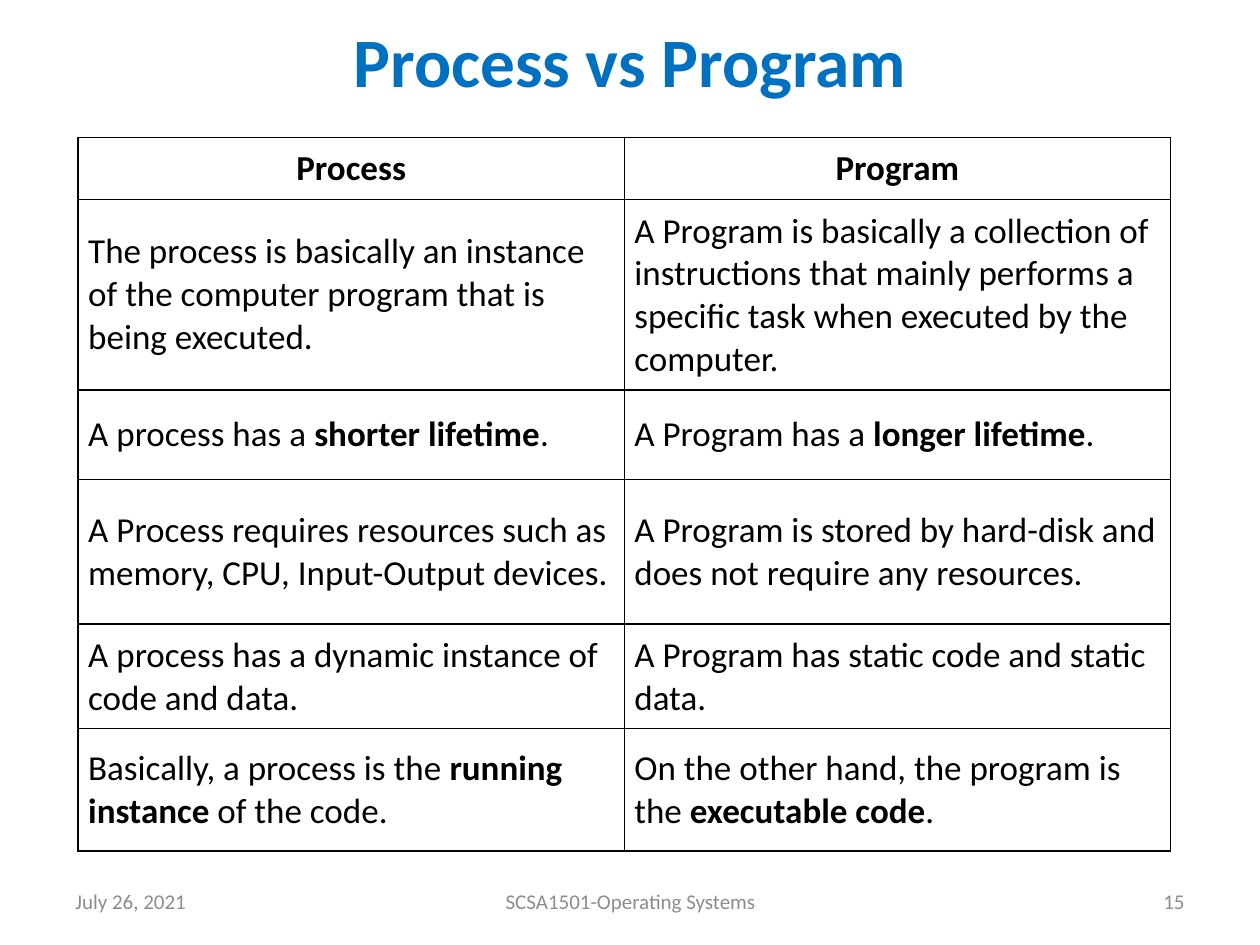
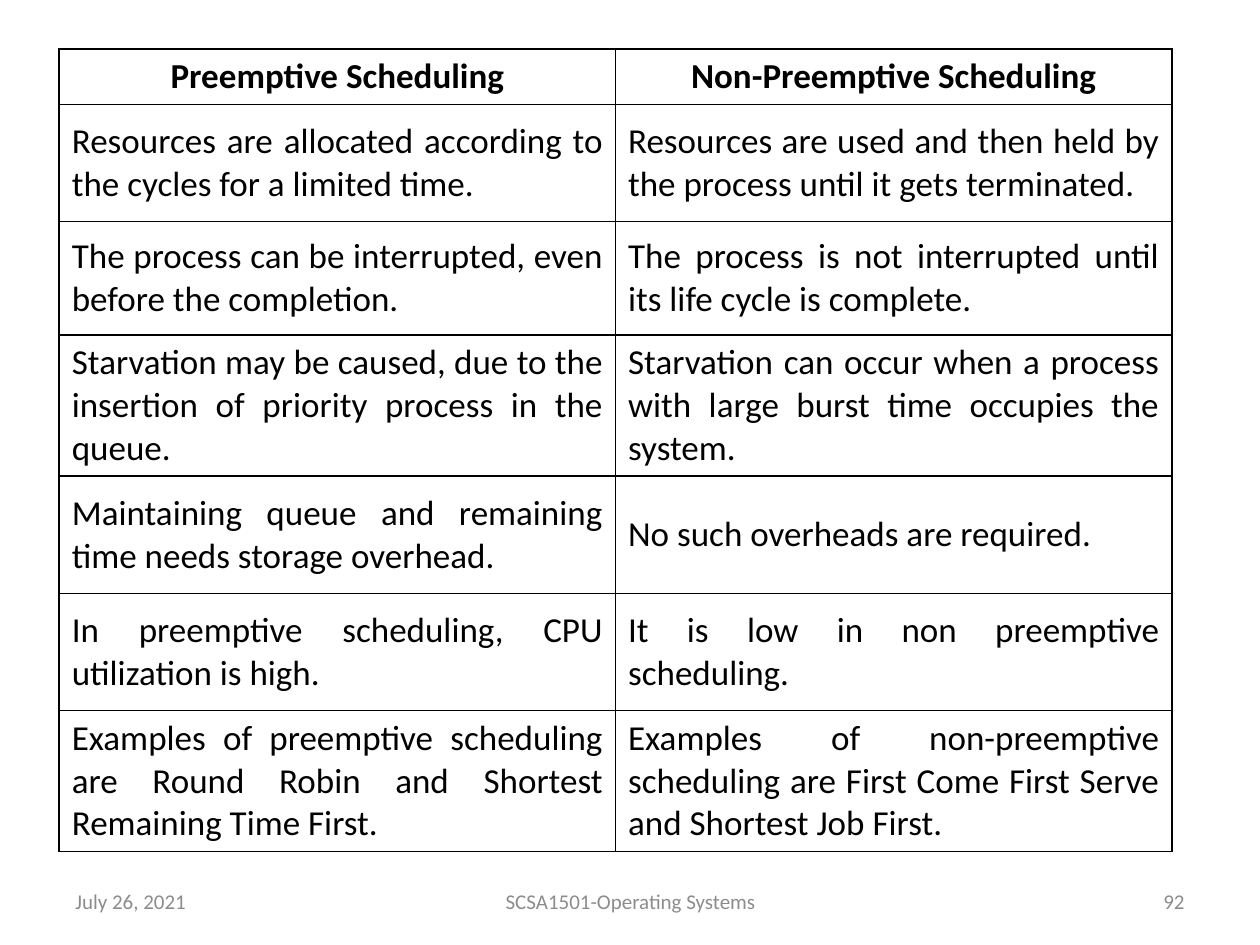
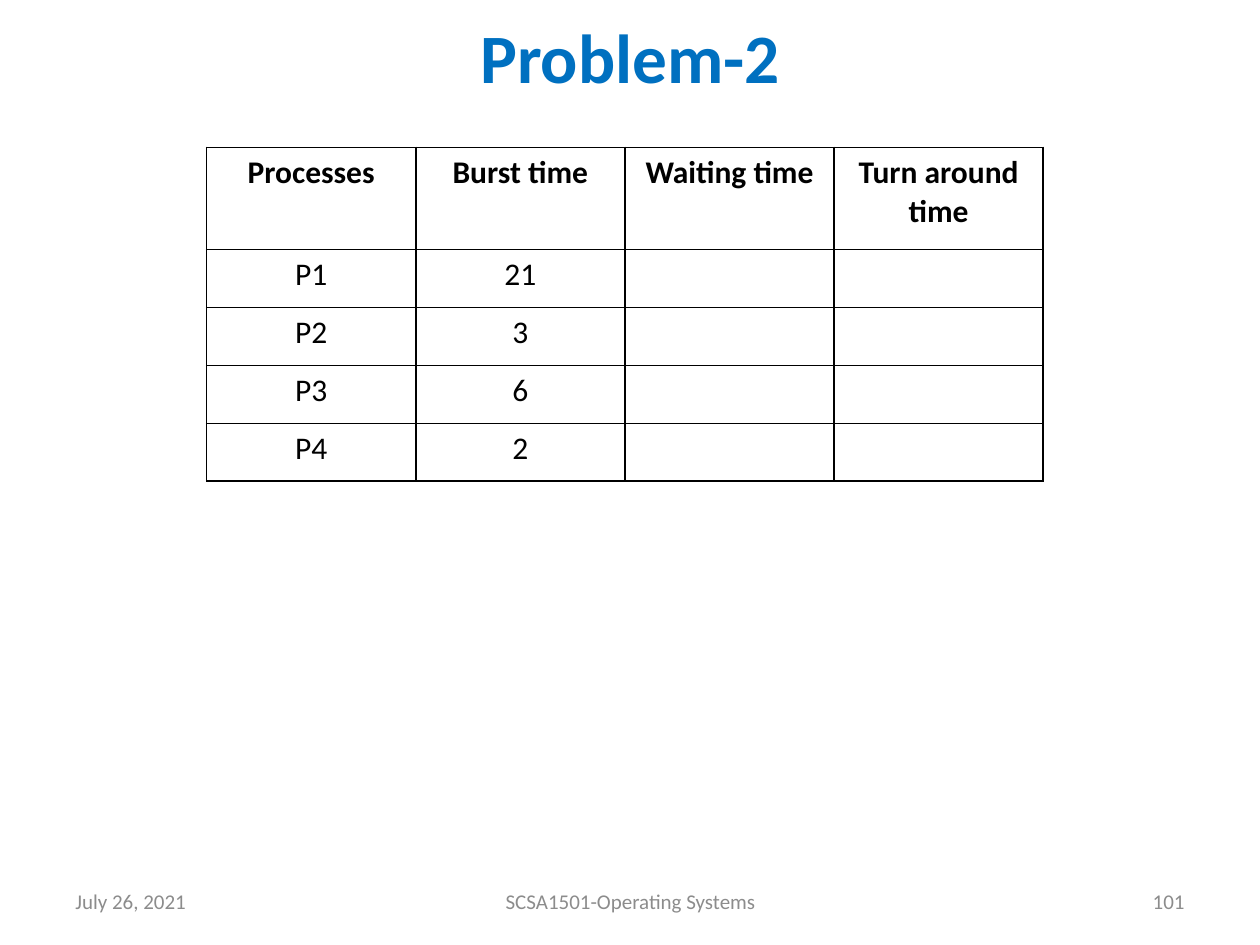
from pptx import Presentation
from pptx.dml.color import RGBColor
from pptx.enum.text import MSO_ANCHOR, MSO_AUTO_SIZE, PP_ALIGN
from pptx.oxml import parse_xml
from pptx.oxml.ns import nsdecls
from pptx.util import Inches, Pt

BLUE = RGBColor(0x00, 0x70, 0xC0)
BLACK = RGBColor(0x00, 0x00, 0x00)
GRAY = RGBColor(0x8C, 0x8C, 0x8C)
FONT = "Calibri"
LEFT, CENTER, RIGHT = PP_ALIGN.LEFT, PP_ALIGN.CENTER, PP_ALIGN.RIGHT
JUSTIFY = PP_ALIGN.JUSTIFY
TOP, MIDDLE = MSO_ANCHOR.TOP, MSO_ANCHOR.MIDDLE
FIXED = MSO_AUTO_SIZE.NONE
TITLED, BLANK = 5, 6
DATE, COURSE = "July 26, 2021", "SCSA1501-Operating Systems"

# Table text: asterisks enclose bold words
DUTIES = [
    ["Process", "Program"],
    ["The process is basically an instance of the computer program that is being executed.",
     "A Program is basically a collection of instructions that mainly performs a "
     "specific task when executed by the computer."],
    ["A process has a *shorter lifetime*.", "A Program has a *longer lifetime*."],
    ["A Process requires resources such as memory, CPU, Input-Output devices.",
     "A Program is stored by hard-disk and does not require any resources."],
    ["A process has a dynamic instance of code and data.",
     "A Program has static code and static data."],
    ["Basically, a process is the *running instance* of the code.",
     "On the other hand, the program is the* executable code*."],
]
MODES = [
    ["Preemptive Scheduling", "Non-Preemptive Scheduling"],
    ["Resources are allocated according to the cycles for a limited time.",
     "Resources are used and then held by the process until it gets terminated."],
    ["The process can be interrupted, even before the completion.",
     "The process is not interrupted until its life cycle is complete."],
    ["Starvation may be caused, due to the insertion of priority process in the queue.",
     "Starvation can occur when a process with large burst time occupies the system."],
    ["Maintaining queue and remaining time needs storage overhead.",
     "No such overheads are required."],
    ["In preemptive scheduling, CPU utilization is high.",
     "It is low in non preemptive scheduling."],
    ["Examples of preemptive scheduling are Round Robin and Shortest Remaining Time First.",
     "Examples of non-preemptive scheduling are First Come First Serve "
     "and Shortest Job First."],
]
BURSTS = [
    ["Processes", "Burst time", "Waiting time", "Turn around time"],
    ["P1", "21", "", ""],
    ["P2", "3", "", ""],
    ["P3", "6", "", ""],
    ["P4", "2", "", ""],
]


class Deck:
    def __init__(self):
        self.prs = Presentation()
        self.prs.slide_width, self.prs.slide_height = Inches(10), Inches(7.5)
        self.slide = None

    def start(self, layout, number):
        """Add a slide with its footer."""
        self.slide = self.prs.slides.add_slide(self.prs.slide_layouts[layout])
        self.label(DATE, 0.5, 2.33, LEFT)
        self.label(COURSE, 3.42, 3.17, CENTER)
        self.label(str(number), 7.17, 2.33, RIGHT)

    def style(self, para, size, color, align, bold=None):
        para.alignment = align
        font = para.font
        font.name, font.size, font.bold = FONT, Pt(size), bold
        font.color.rgb = color

    def label(self, text, left, width, align):
        box = self.slide.shapes.add_textbox(
            Inches(left), Inches(6.95), Inches(width), Inches(0.4))
        frame = box.text_frame
        frame.word_wrap, frame.vertical_anchor = True, MIDDLE
        frame.text = text
        self.style(frame.paragraphs[0], 12, GRAY, align)

    def title(self, text, top, height):
        box = self.slide.shapes.title
        box.left, box.top = Inches(0.5), Inches(top)
        box.width, box.height = Inches(9), Inches(height)
        frame = box.text_frame
        frame.text = text
        frame.auto_size, frame.vertical_anchor = FIXED, MIDDLE
        self.style(frame.paragraphs[0], 39.6, BLUE, CENTER, True)

    def table(self, data, left, top, width, heights, align, size=20,
              anchor=MIDDLE, inset=None):
        """Draw a grid of equal columns with a bold, centred head row."""
        table = self.slide.shapes.add_table(
            len(data), len(data[0]), Inches(left), Inches(top),
            Inches(width), Inches(sum(heights))).table
        table.first_row = table.horz_banding = False
        for row, height, texts in zip(table.rows, heights, data):
            row.height = Inches(height)
            head = texts is data[0]
            for cell, text in zip(row.cells, texts):
                self.border(cell)
                cell.fill.background()
                cell.vertical_anchor = anchor
                if inset:
                    cell.margin_left = cell.margin_right = Inches(inset)
                    cell.margin_top = cell.margin_bottom = Inches(inset)
                para = cell.text_frame.paragraphs[0]
                self.style(para, size, BLACK, CENTER if head else align, head)
                for i, part in enumerate(text.split("*")):
                    if part:
                        run = para.add_run()
                        run.text = part
                        if i % 2:
                            run.font.bold = True

    def border(self, cell):
        props = cell._tc.get_or_add_tcPr()
        for side in "LRTB":
            props.append(parse_xml(
                f'<a:ln{side} {nsdecls("a")} w="{Pt(1)}"><a:solidFill>'
                f'<a:srgbClr val="{BLACK}"/></a:solidFill></a:ln{side}>'))


def main():
    deck = Deck()

    # Process and program compared
    deck.start(TITLED, 15)
    deck.title("Process vs Program", 0.08, 0.79)
    deck.table(DUTIES, 0.62, 1.09, 8.67, [0.49, 1.51, 0.71, 1.15, 0.83, 0.97],
               LEFT, inset=0.08)

    # Scheduling modes compared
    deck.start(BLANK, 92)
    deck.table(MODES, 0.47, 0.39, 8.83, [0.44, 0.93, 0.9, 1.12, 0.93, 0.93, 1.12],
               JUSTIFY)

    # Burst time exercise
    deck.start(TITLED, 101)
    deck.title("Problem-2", 0.16, 0.56)
    deck.table(BURSTS, 1.64, 1.17, 6.64, [0.81] + [0.46] * 4, CENTER,
               size=18, anchor=TOP)

    deck.prs.save("out.pptx")


if __name__ == "__main__":
    main()
